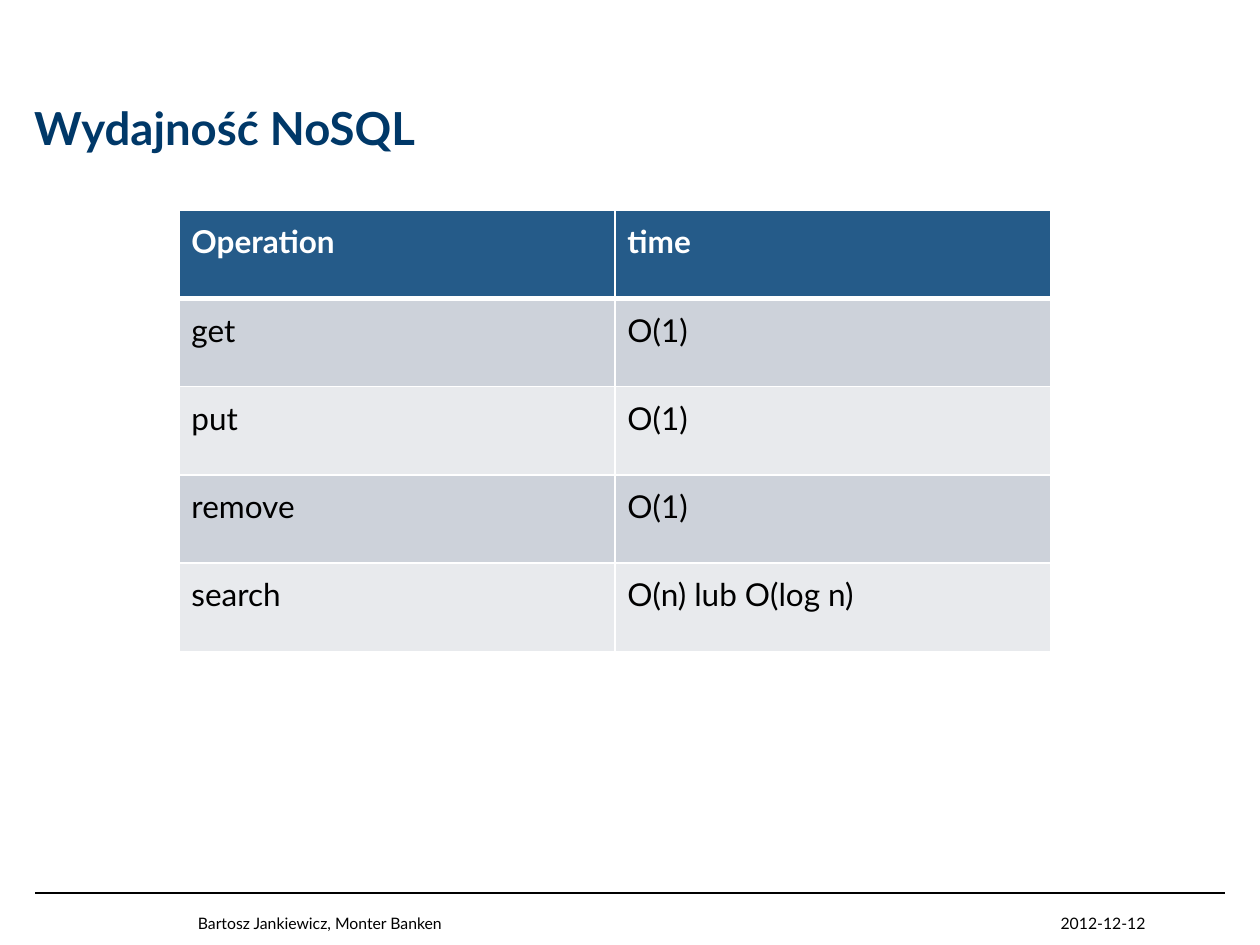
from pptx import Presentation
from pptx.dml.color import RGBColor
from pptx.enum import shapes, text
from pptx.oxml.ns import qn
from pptx.util import Cm, Pt
from lxml import etree

FONT = "Lato"
COLORS = {
    "title": "003868",
    "text": "000000",
    "white": "FFFFFF",
    "header": "255B89",
    "band_dark": "CDD2DA",
    "band_light": "E8EAED",
}
ROWS = [
    ("Operation", "time"),
    ("get", "O(1)"),
    ("put", "O(1)"),
    ("remove", "O(1)"),
    ("search", "O(n) lub O(log n)"),
]


def rgb(name):
    return RGBColor.from_string(COLORS[name])


def set_text(tf, content, size, color, bold=False, align=text.PP_ALIGN.LEFT):
    tf.text = content
    p = tf.paragraphs[0]
    p.alignment = align
    font = p.runs[0].font
    font.name, font.size, font.bold = FONT, Pt(size), bold
    font.color.rgb = rgb(color)


def set_frame(tf):
    """Bottom-anchored frame without insets, wrapping inside its box."""
    tf.word_wrap = True
    tf.auto_size = text.MSO_AUTO_SIZE.NONE
    tf.vertical_anchor = text.MSO_ANCHOR.BOTTOM
    tf.margin_left = tf.margin_right = tf.margin_top = tf.margin_bottom = 0


def set_borders(cell, top, bottom):
    """White borders; top and bottom widths in points."""
    tc_pr = cell._tc.get_or_add_tcPr()
    for side, width in (("L", 1), ("R", 1), ("T", top), ("B", bottom)):
        ln = etree.SubElement(tc_pr, qn(f"a:ln{side}"), w=str(Pt(width)))
        fill = etree.SubElement(ln, qn("a:solidFill"))
        etree.SubElement(fill, qn("a:srgbClr"), val=COLORS["white"])


def add_title(s, x, y, w, h):
    title = s.shapes.title
    title.left, title.top, title.width, title.height = x, y, w, h
    set_frame(title.text_frame)
    set_text(title.text_frame, "Wydajność NoSQL", 26, "title", bold=True)


def add_performance_table(s, x, y, w, h):
    table = s.shapes.add_table(len(ROWS), len(ROWS[0]), x, y, w, h).table
    for i, row in enumerate(ROWS):
        header = i == 0
        band = "header" if header else "band_dark" if i % 2 else "band_light"
        for j, content in enumerate(row):
            cell = table.cell(i, j)
            cell.margin_left = cell.margin_right = Cm(0.25)
            cell.margin_top = cell.margin_bottom = Cm(0.25)
            set_borders(cell, 3 if i == 1 else 1, 3 if header else 1)
            cell.fill.solid()
            cell.fill.fore_color.rgb = rgb(band)
            set_text(cell.text_frame, content, 18,
                     "white" if header else "text", bold=header)


def add_footer(s, x, y, w, h):
    """Rule along the top of the box, author and date along its bottom."""
    rule = s.shapes.add_connector(shapes.MSO_CONNECTOR.STRAIGHT, x, y, x + w, y)
    rule.line.color.rgb = rgb("text")
    rule.line.width = Pt(1)
    etree.SubElement(rule._element.spPr, qn("a:effectLst"))

    text_h = Cm(0.51)
    for content, dx, width, align in (
        ("Bartosz Jankiewicz, Monter Banken", 3.28, 13, text.PP_ALIGN.LEFT),
        ("2012-12-12", 16.38, 6, text.PP_ALIGN.RIGHT),
    ):
        sp = s.shapes.add_textbox(x + Cm(dx), y + h - text_h, Cm(width), text_h)
        set_frame(sp.text_frame)
        set_text(sp.text_frame, content, 9, "text", align=align)


def main():
    prs = Presentation()
    prs.slide_width, prs.slide_height = Cm(25.4), Cm(19.05)
    s = prs.slides.add_slide(prs.slide_layouts[5])
    add_title(s, Cm(0.69), Cm(1.12), Cm(24), Cm(2))
    add_performance_table(s, Cm(3.61), Cm(4.24), Cm(17.58), Cm(8.89))
    add_footer(s, Cm(0.71), Cm(18), Cm(23.98), Cm(0.8))
    prs.save("out.pptx")


if __name__ == "__main__":
    main()
